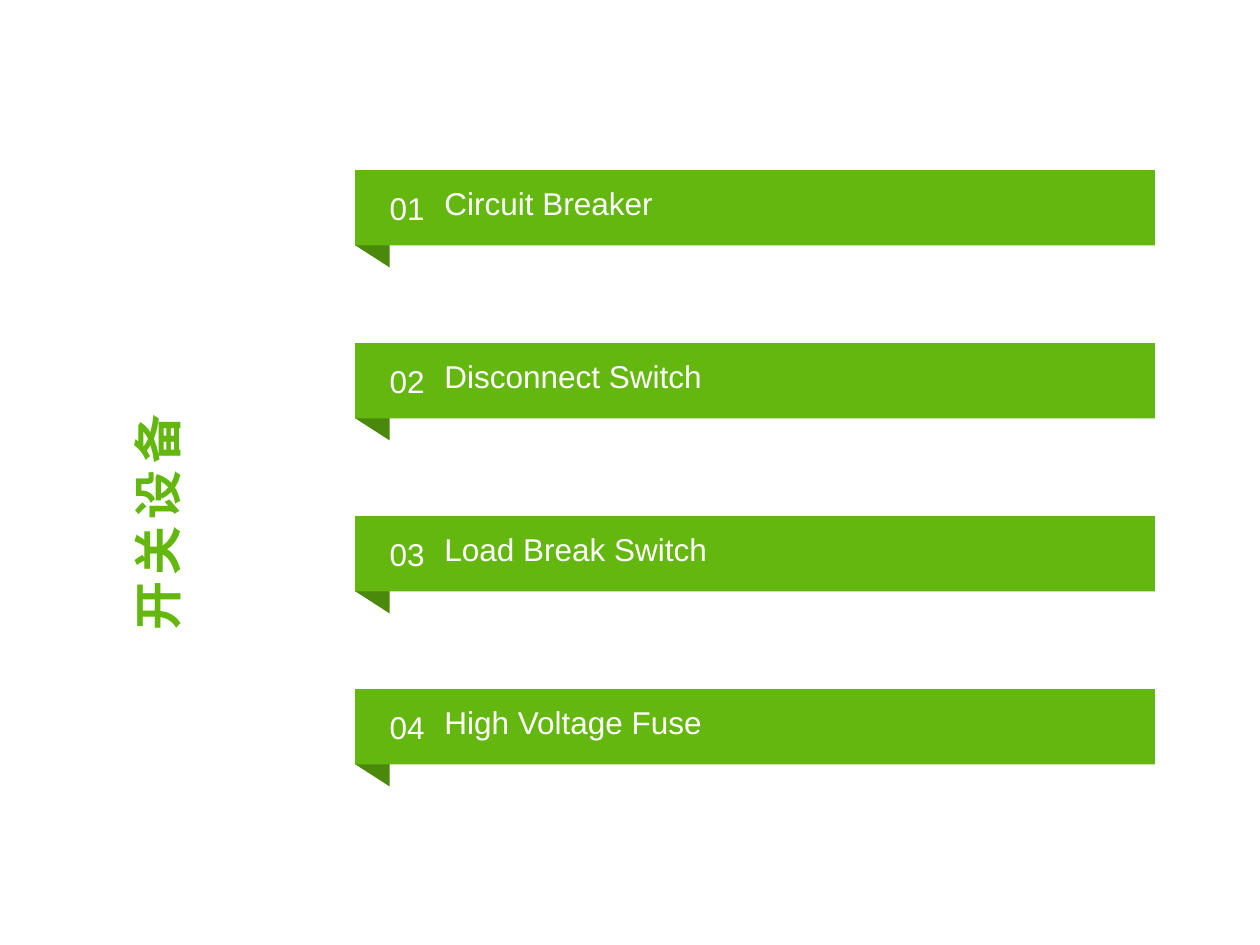
from dataclasses import dataclass

import pptx
import pptx.dml.color
import pptx.enum.shapes
import pptx.enum.text
import pptx.util

Pt = pptx.util.Pt
Anchor = pptx.enum.text.MSO_ANCHOR
Align = pptx.enum.text.PP_ALIGN


@dataclass(frozen=True)
class Theme:
    font: str = "Arial"
    green: str = "63B70F"
    dark_green: str = "4A890B"
    white: str = "FFFFFF"
    title_size: float = 28
    label_size: float = 18


THEME = Theme()
DEVICES = ["Circuit Breaker", "Disconnect Switch", "Load Break Switch", "High Voltage Fuse"]


def rgb(code):
    return pptx.dml.color.RGBColor.from_string(code)


def paint(shape, color):
    shape.shadow.inherit = False
    shape.fill.solid()
    shape.fill.fore_color.rgb = rgb(color)
    shape.line.fill.background()


def write(shape, text, size, color, margins, anchor=Anchor.MIDDLE, bold=False):
    """Fill a shape with one left-aligned line; margins are left, top, right, bottom."""
    frame = shape.text_frame
    frame.word_wrap = True
    frame.auto_size = pptx.enum.text.MSO_AUTO_SIZE.NONE
    frame.vertical_anchor = anchor
    (frame.margin_left, frame.margin_top,
     frame.margin_right, frame.margin_bottom) = map(Pt, margins)
    line = frame.paragraphs[0]
    line.text = text
    line.alignment = Align.LEFT
    line.font.name = THEME.font
    line.font.size = Pt(size)
    line.font.bold = bold
    line.font.color.rgb = rgb(color)


def add_side_title(slide, text, left, top, width, height):
    title = slide.shapes.title
    title.left, title.top, title.width, title.height = map(Pt, (left, top, width, height))
    title.rotation = 270
    write(title, text, THEME.title_size, THEME.green, (7.2, 3.6, 7.2, 3.6), Anchor.TOP, True)
    title.text_frame.paragraphs[0].runs[0].font._element.set("spc", "400")


def add_ribbon(slide, number, label, left, top, width, height):
    """A numbered bar whose left end folds under into a dark corner."""
    fold_width, fold_drop = 19.6, 12.6
    parts = slide.shapes.add_group_shape().shapes

    outline = parts.build_freeform(Pt(left), Pt(top))
    outline.add_line_segments([
        (Pt(left + fold_width), Pt(top)),
        (Pt(left + fold_width), Pt(top + height + fold_drop)),
        (Pt(left), Pt(top + height)),
    ])
    paint(outline.convert_to_shape(), THEME.dark_green)

    bar = parts.add_shape(pptx.enum.shapes.MSO_SHAPE.RECTANGLE,
                          *map(Pt, (left, top, width, height)))
    paint(bar, THEME.green)
    write(bar, label, THEME.label_size, THEME.white, (51, 3, 3, 9))

    number_height = 31
    number_box = parts.add_textbox(*map(Pt, (
        left + fold_width, top + (height - number_height) / 2, 37.5, number_height)))
    write(number_box, number, THEME.label_size, THEME.white, (0, 3.6, 0, 3.6))


def add_ribbon_list(slide, labels, left, top, width, pitch):
    for row, label in enumerate(labels):
        add_ribbon(slide, f"{row + 1:02}", label, left, top + row * pitch, width, 43)


def main():
    deck = pptx.Presentation()
    deck.slide_width, deck.slide_height = Pt(720), Pt(540)
    slide = deck.slides.add_slide(deck.slide_layouts.get_by_name("Title Only"))
    add_side_title(slide, "开关设备", 5.75, 229, 202.5, 75)
    add_ribbon_list(slide, DEVICES, 203, 97.2, 457, 98.85)
    deck.save("out.pptx")


if __name__ == "__main__":
    main()
